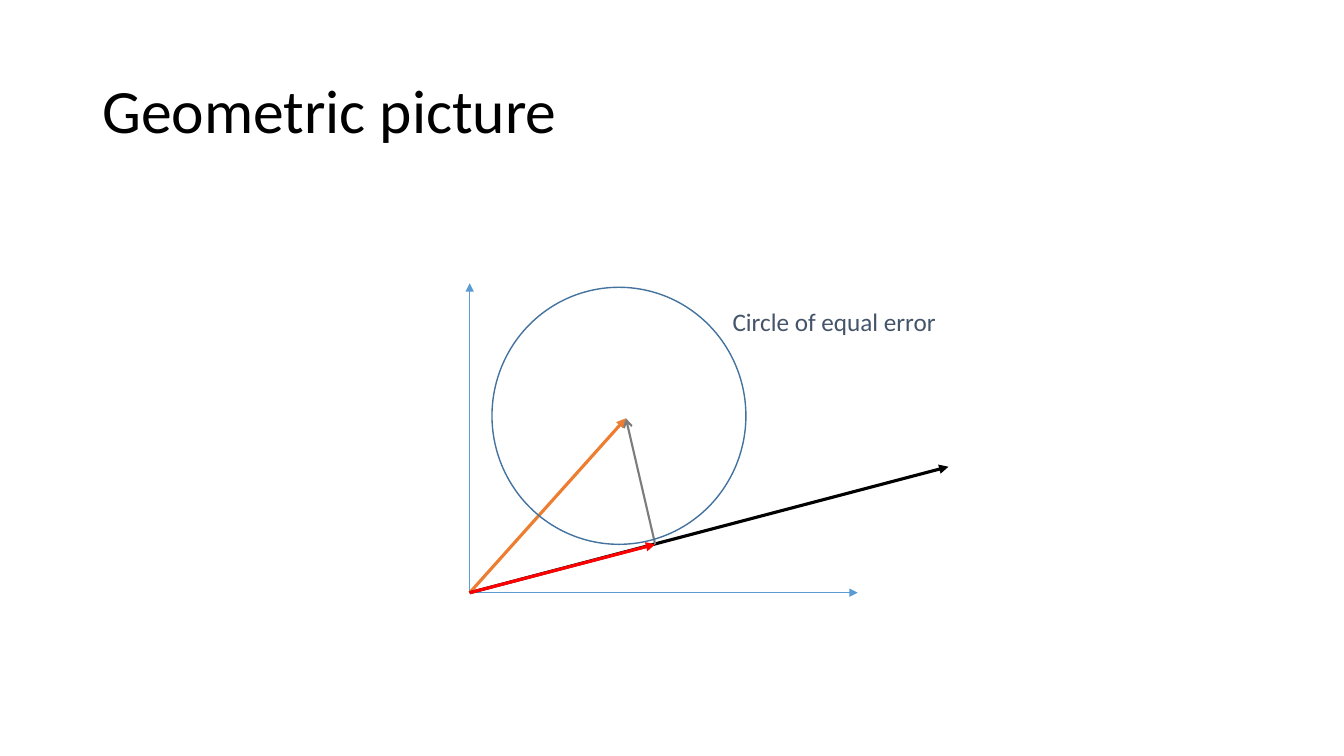
from lxml import etree
from pptx import Presentation
from pptx.dml.color import RGBColor
from pptx.enum.shapes import MSO_CONNECTOR as Connector, MSO_SHAPE as Shape
from pptx.enum.text import MSO_ANCHOR as Anchor, MSO_AUTO_SIZE as AutoSize, PP_ALIGN as Align
from pptx.oxml.ns import qn
from pptx.util import Pt

ORIGIN = (335.5, 423.4)
TARGET = (447.1, 298.8)
PROJECTION = (468, 388.8)


def color(value):
    return RGBColor.from_string(value)


def write(frame, text, size, hue):
    para = frame.paragraphs[0]
    para.alignment = Align.LEFT
    span = para.add_run()
    span.text = text
    span.font.name = "Calibri"
    span.font.size = Pt(size)
    span.font.color.rgb = color(hue)
    return para


def add_title(page, text):
    title = page.shapes.title
    title.left, title.top, title.width, title.height = Pt(66), Pt(28.8), Pt(828), Pt(104.4)
    title.text_frame.vertical_anchor = Anchor.MIDDLE
    write(title.text_frame, text, 44, "000000").line_spacing = 0.9


def add_arrow(page, start, end, hue, width, end_tag="tailEnd", head="triangle"):
    points = [Pt(value) for value in (*start, *end)]
    arrow = page.shapes.add_connector(Connector.STRAIGHT, *points)
    arrow.line.color.rgb = color(hue)
    arrow.line.width = Pt(width)
    properties = arrow._element.spPr
    etree.SubElement(properties.find(qn("a:ln")), qn(f"a:{end_tag}"), type=head)
    etree.SubElement(properties, qn("a:effectLst"))


def add_circle(page, left, top, width, height, hue):
    circle = page.shapes.add_shape(Shape.OVAL, Pt(left), Pt(top), Pt(width), Pt(height))
    circle.shadow.inherit = False
    circle.fill.background()
    circle.line.color.rgb = color(hue)
    circle.line.width = Pt(1)


def add_label(page, left, top, width, height, text, hue):
    box = page.shapes.add_textbox(Pt(left), Pt(top), Pt(width), Pt(height))
    box.text_frame.word_wrap = False
    box.text_frame.auto_size = AutoSize.SHAPE_TO_FIT_TEXT
    write(box.text_frame, text, 18, hue)


def main():
    deck = Presentation()
    deck.slide_width, deck.slide_height = Pt(960), Pt(540)
    page = deck.slides.add_slide(deck.slide_layouts[5])
    add_title(page, "Geometric picture")

    for axis_end in ((ORIGIN[0], 202.3), (612.7, ORIGIN[1])):
        add_arrow(page, ORIGIN, axis_end, "5B9BD5", 0.5)
    for tip, hue in ((TARGET, "ED7D31"), ((677.5, 333.4), "000000"), (PROJECTION, "FF0000")):
        add_arrow(page, ORIGIN, tip, hue, 2.25)
    add_arrow(page, TARGET, PROJECTION, "7C7C7C", 1.5, "headEnd", "arrow")

    add_circle(page, 351.4, 205.2, 181.4, 183.6, "43739E")
    add_label(page, 516.2, 215.3, 161.3, 28.8, "Circle of equal error", "44546A")
    deck.save("out.pptx")


if __name__ == "__main__":
    main()
